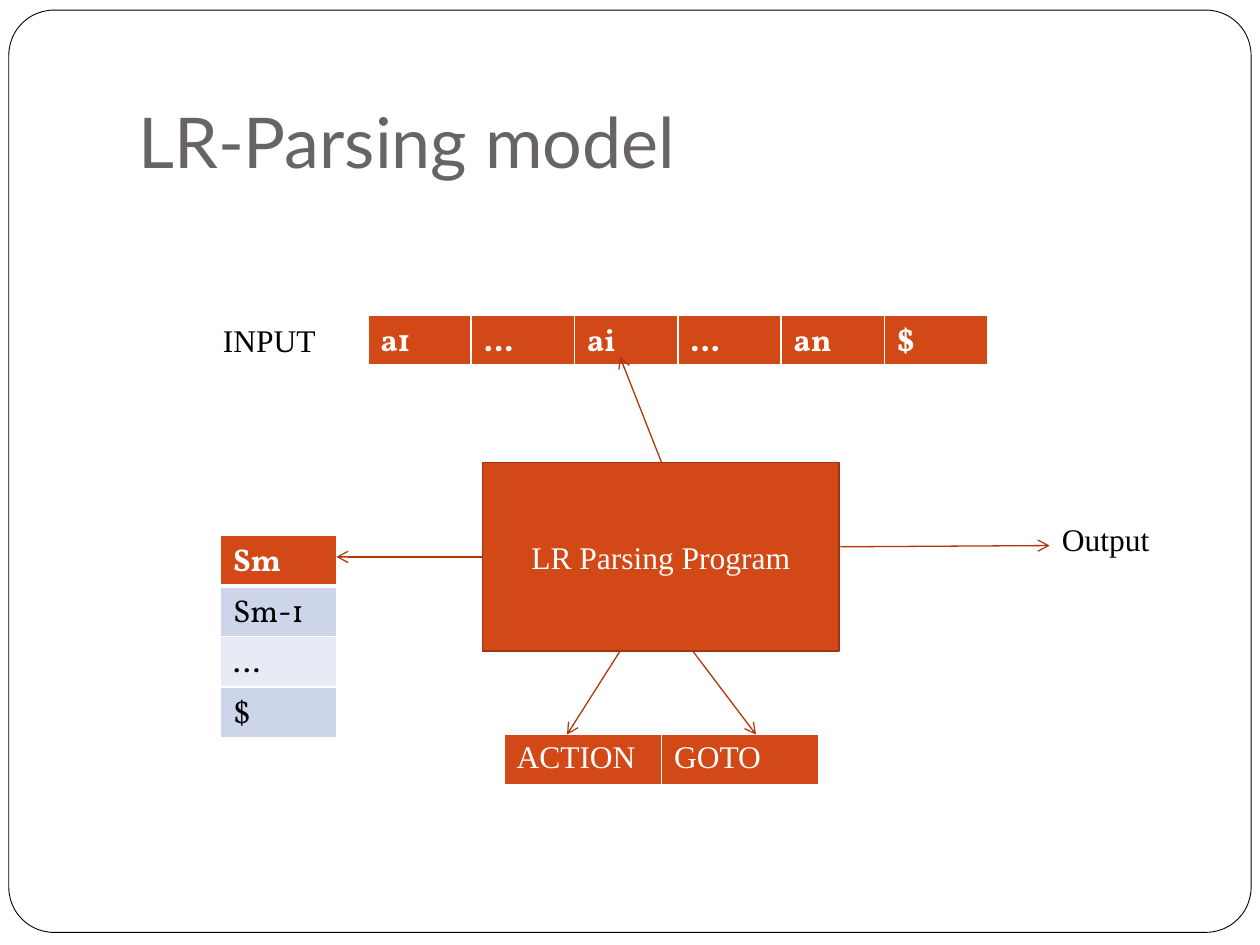
"""Build the LR-Parsing model slide."""
from lxml.etree import SubElement
from pptx import Presentation
from pptx.dml.color import RGBColor
from pptx.enum.shapes import MSO_CONNECTOR, MSO_SHAPE
from pptx.enum.text import MSO_ANCHOR, PP_ALIGN
from pptx.oxml import parse_xml
from pptx.oxml.ns import nsdecls, qn
from pptx.util import Inches, Pt


def paint(fill, color):
    fill.solid()
    fill.fore_color.rgb = RGBColor.from_string(color)


def write(frame, text, color, formats):
    frame.text = text
    font = frame.paragraphs[0].font
    for attribute, value in formats.items():
        setattr(font, attribute, value)
    paint(font.fill, color)


WHITE, BLACK, ORANGE = "FFFFFF", "000000", "D34817"
HEADING = {"name": "Lato", "size": Pt(40)}
LABEL = {"name": "Times New Roman", "size": Pt(18), "bold": False}
SYMBOL = {"name": "Vollkorn", "size": Pt(18), "bold": False}
STRONG = {**SYMBOL, "bold": True}

presentation = Presentation()
presentation.slide_width, presentation.slide_height = Inches(10), Inches(7.5)
slide = presentation.slides.add_slide(presentation.slide_layouts[6])
shapes = slide.shapes

panels = [
    (MSO_SHAPE.ROUNDED_RECTANGLE, (0.07, 0.08, 9.86, 7.32), WHITE, BLACK, 0.5),
    (MSO_SHAPE.RECTANGLE, (3.83, 3.67, 2.83, 1.5), ORANGE, "9C3511", 1),
]
for preset, place, color, outline, width in panels:
    program = shapes.add_shape(preset, *map(Inches, place))
    program.shadow.inherit = False
    paint(program.fill, color)
    paint(program.line.fill, outline)
    program.line.width = Pt(width)
    if preset == MSO_SHAPE.ROUNDED_RECTANGLE:
        program.adjustments[0] = 0.049
write(program.text_frame, "LR Parsing Program", WHITE, LABEL)
program.text_frame.vertical_anchor = MSO_ANCHOR.MIDDLE
program.text_frame.paragraphs[0].alignment = PP_ALIGN.CENTER

texts = [
    ("LR-Parsing model", (1, 0.3, 8.5, 1.25), "696464", HEADING,
     {"vertical_anchor": MSO_ANCHOR.BOTTOM, "margin_bottom": Inches(0.1), "word_wrap": True}),
    ("INPUT", (1.67, 2.5, 1.19, 0.51), BLACK, LABEL, {"word_wrap": False}),
    ("Output", (8.33, 4.08, 1.14, 0.51), BLACK, LABEL, {"word_wrap": False}),
]
for text, place, color, formats, layout in texts:
    frame = shapes.add_textbox(*map(Inches, place)).text_frame
    write(frame, text, color, formats)
    for attribute, value in layout.items():
        setattr(frame, attribute, value)

tables = [
    ([["a1", "…", "ai", "…", "an", "$"]], (2.92, 2.5), 0.82, 0.41, STRONG),
    ([["Sm"], ["Sm-1"], ["…"], ["$"]], (1.75, 4.25), 0.92, 0.4, STRONG),
    ([["ACTION", "GOTO"]], (4, 5.83), 1.25, 0.41, LABEL),
]
for rows, corner, cell_width, cell_height, header in tables:
    count = len(rows[0])
    size = cell_width * count, cell_height * len(rows)
    grid = shapes.add_table(len(rows), count, *map(Inches, corner + size)).table
    grid.first_row = grid.horz_banding = False
    for column in grid.columns:
        column.width = Inches(cell_width)
    for row_number, row in enumerate(rows):
        grid.rows[row_number].height = Inches(cell_height)
        for column_number, text in enumerate(row):
            cell = grid.cell(row_number, column_number)
            if row_number == 0:
                write(cell.text_frame, text, WHITE, header)
                paint(cell.fill, ORANGE)
            else:
                write(cell.text_frame, text, BLACK, SYMBOL)
                paint(cell.fill, "CCD5EA" if row_number % 2 else "E7EBF5")
            borders = {"L": 1, "R": 1, "T": 3 if row_number == 1 else 1,
                       "B": 3 if row_number == 0 else 1}
            for position, (side, width) in enumerate(borders.items()):
                border = parse_xml(
                    f'<a:ln{side} {nsdecls("a")} w="{Pt(width)}"><a:solidFill>'
                    f'<a:srgbClr val="{WHITE}"/></a:solidFill></a:ln{side}>')
                cell._tc.get_or_add_tcPr().insert(position, border)

arrows = [
    (3.83, 4.42, 2.67, 4.42),
    (6.67, 4.34, 8.33, 4.33),
    (5.25, 3.67, 4.92, 2.83),
    (4.92, 5.17, 4.5, 5.83),
    (5.5, 5.17, 6, 5.83),
]
for ends in arrows:
    arrow = shapes.add_connector(MSO_CONNECTOR.STRAIGHT, *map(Inches, ends))
    paint(arrow.line.fill, "B1360B")
    arrow.line.width = Pt(0.75)
    SubElement(arrow.line._get_or_add_ln(), qn("a:tailEnd"), type="arrow")
    SubElement(arrow._element.spPr, qn("a:effectLst"))

presentation.save("out.pptx")
